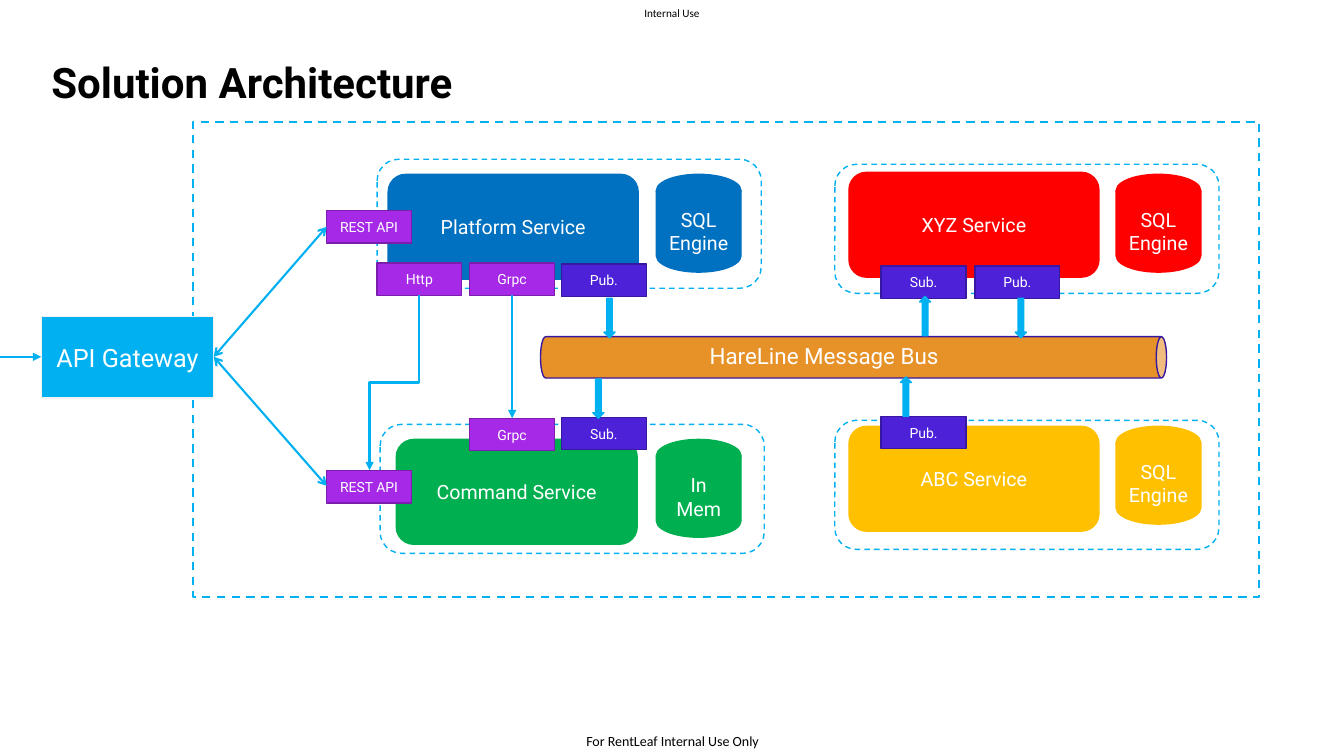
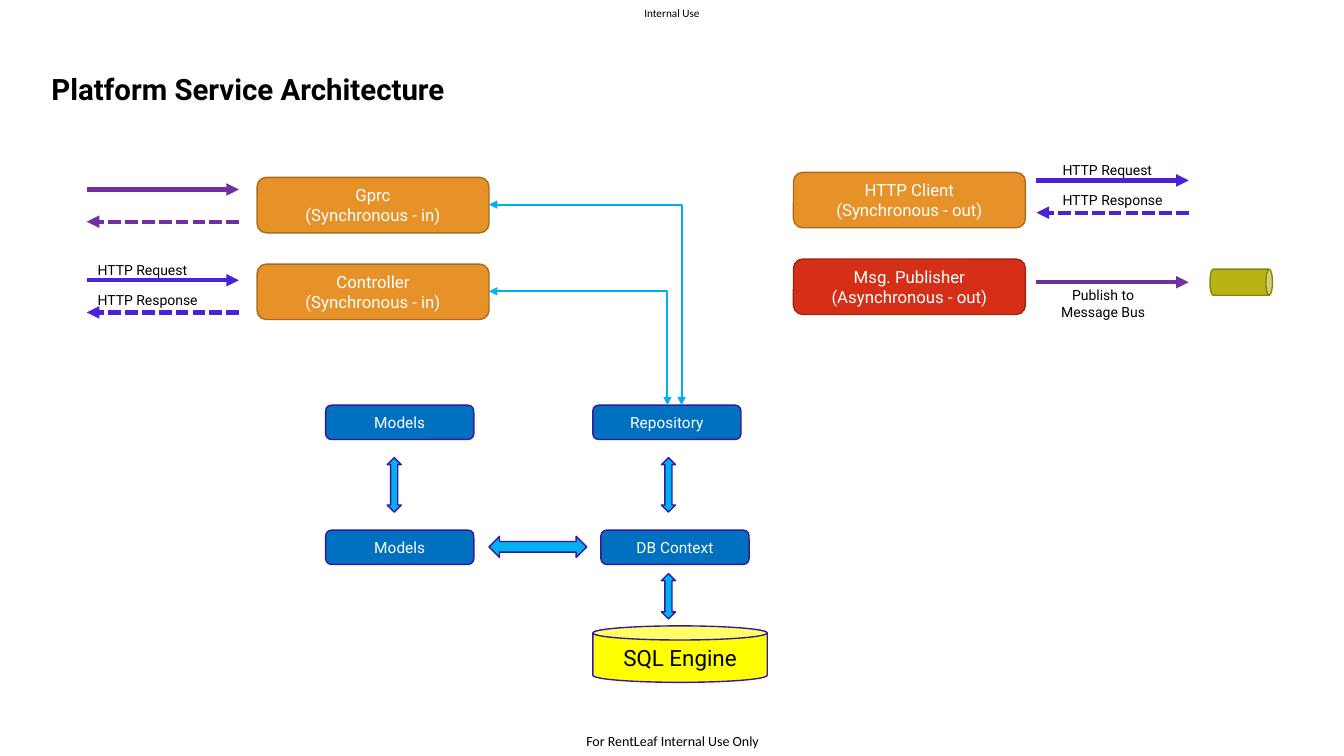
from pptx import Presentation
from pptx.dml.color import RGBColor
from pptx.enum import dml, shapes, text
from pptx.oxml.ns import qn
from pptx.util import Inches, Pt

SHAPE = shapes.MSO_SHAPE
DASH = dml.MSO_LINE.DASH
SHORT_DASH = dml.MSO_LINE.SQUARE_DOT
CENTER = text.PP_ALIGN.CENTER
MIDDLE = text.MSO_ANCHOR.MIDDLE

BLACK, WHITE = "000000", "FFFFFF"
SKY, BLUE, ORANGE = "00B0F0", "0070C0", "E79129"
VIOLET, INDIGO, PURPLE = "4C21D7", "38189F", "7030A0"
MAGENTA, PLUM, BROWN = "A529E7", "7A1EAB", "AB6B1E"
TAG_W, TAG_H = 0.84, 0.32
FLOW_W, FLOW_GAP = 1.51, 0.32


def rgb(value):
    return RGBColor.from_string(value)


def inches(values):
    return [Inches(v) for v in values]


def set_all(obj, values):
    for name, value in values.items():
        setattr(obj, name, value)


def write(tf, content, size, color=WHITE, align=CENTER, font="Roboto", bold=False):
    """Fill a text frame with one paragraph for each line of content."""
    for i, line in enumerate(content.split("\n")):
        p = tf.add_paragraph() if i else tf.paragraphs[0]
        p.alignment = align
        r = p.add_run()
        r.text = line
        set_all(r.font, {"name": font, "size": Pt(size), "bold": bold})
        r.font.color.rgb = rgb(color)


def set_line(line, color, width, dash=None):
    line.color.rgb = rgb(color)
    line.width = Pt(width)
    if dash:
        line.dash_style = dash


def block(s, kind, at, fill=None, line=None, content="", size=10,
          color=WHITE, width=1, dash=None, turn=0):
    sp = s.shapes.add_shape(kind, *inches(at))
    sp.shadow.inherit = False
    sp.rotation = turn
    if fill:
        sp.fill.solid()
        sp.fill.fore_color.rgb = rgb(fill)
    else:
        sp.fill.background()
    set_line(sp.line, line or fill, width, dash)
    if content:
        set_all(sp.text_frame, {"word_wrap": True, "vertical_anchor": MIDDLE})
        write(sp.text_frame, content, size, color)
    return sp


def label(s, at, content, size=10, color=BLACK, align=text.PP_ALIGN.LEFT):
    sp = s.shapes.add_textbox(*inches(at))
    sp.text_frame.word_wrap = True
    write(sp.text_frame, content, size, color, align)


def arrow(s, ends, color=SKY, width=1.5, dash=None, head=None, tail="triangle",
          bend=None, turn=0):
    """Draw a connector; bend names an elbow preset, turn is in degrees."""
    kind = shapes.MSO_CONNECTOR.ELBOW if bend else shapes.MSO_CONNECTOR.STRAIGHT
    c = s.shapes.add_connector(kind, *inches(ends))
    set_line(c.line, color, width, dash)
    props = c.element.spPr
    if bend:
        props.find(qn("a:prstGeom")).set("prst", bend)
    if turn:
        props.find(qn("a:xfrm")).set("rot", str(turn * 60000))
    ln = props.find(qn("a:ln"))
    for tag, end in (("a:headEnd", head), ("a:tailEnd", tail)):
        if end:
            ln.append(ln.makeelement(qn(tag), {"type": end}))
    props.append(props.makeelement(qn("a:effectLst"), {}))


def add_marks(s):
    """Put the confidentiality marks on the layout that the slides share."""
    marks = (((6.26, 0, 0.81, 0.25), "Internal Use", 8),
             ((5.63, 7.21, 2.08, 0.29), "For RentLeaf Internal Use Only", 10))
    for at, content, size in marks:
        sp = s.shapes.add_textbox(*inches(at))
        set_all(sp.text_frame, {
            "word_wrap": True, "vertical_anchor": MIDDLE, "margin_left": 0,
            "margin_right": 0, "margin_top": 0, "margin_bottom": 0})
        write(sp.text_frame, content, size, BLACK, font="Calibri")
        s.slide_layout.shapes.element.append(sp.element)


def add_slide(prs, title, size):
    s = prs.slides.add_slide(prs.slide_layouts[5])
    sp = s.shapes.title
    names = ("left", "top", "width", "height")
    set_all(sp, dict(zip(names, inches((0.41, 0.47, 4.94, 0.63)))))
    set_all(sp.text_frame, {
        "word_wrap": True, "vertical_anchor": text.MSO_ANCHOR.BOTTOM,
        "auto_size": text.MSO_AUTO_SIZE.NONE})
    write(sp.text_frame, title, size, BLACK, text.PP_ALIGN.LEFT, bold=True)
    sp.text_frame.paragraphs[0].line_spacing = 0.7
    return s


def tags(s, fill, line, items):
    for x, y, name in items:
        block(s, SHAPE.RECTANGLE, (x, y, TAG_W, TAG_H), fill, line, name)


def exchange(s, x, y, color, label_x=None):
    """Draw a request arrow with the dashed response below it."""
    right, back = x + FLOW_W, y + FLOW_GAP
    arrow(s, (right, back, x, back), color, 3, SHORT_DASH)
    arrow(s, (x, y, right, y), color, 3)
    if label_x is not None:
        label(s, (label_x, y - 0.24, 1.27, 0.28), "HTTP Request")
        label(s, (label_x, y + 0.06, 1.27, 0.28), "HTTP Response")


def solution_slide(s):
    for x, y in ((3.77, 4.21), (3.74, 1.58), (8.28, 4.17), (8.28, 1.63)):
        block(s, SHAPE.ROUNDED_RECTANGLE, (x, y, 3.81, 1.28), line=SKY, dash=DASH)

    services = (
        (3.85, 1.73, 2.48, BLUE, "Platform Service", 6.51, 1.73, "SQL Engine"),
        (3.93, 4.36, 2.39, "00B050", "Command Service", 6.51, 4.36, "In Mem"),
        (8.42, 1.71, 2.48, "FF0000", "XYZ Service", 11.07, 1.73, "SQL Engine"),
        (8.42, 4.23, 2.48, "FFC000", "ABC Service", 11.07, 4.23, "SQL Engine"))
    for x, y, w, fill, name, disk_x, disk_y, store in services:
        block(s, SHAPE.ROUNDED_RECTANGLE, (x, y, w, 1.04), fill,
              content=name, size=14)
        block(s, SHAPE.FLOWCHART_MAGNETIC_DISK, (disk_x, disk_y, 0.84, 0.97),
              fill, content=store, size=14)

    block(s, SHAPE.CAN, (8.26, 0.44, 0.41, 6.21), ORANGE, INDIGO, turn=90)
    label(s, (6.94, 3.35, 2.79, 0.37), "HareLine Message Bus", 16, WHITE)
    block(s, SHAPE.RECTANGLE, (1.91, 1.21, 10.58, 4.71), line=SKY,
          width=1.5, dash=DASH)
    block(s, SHAPE.RECTANGLE, (0.41, 3.14, 1.71, 0.81), SKY, "F2F2F2",
          "API Gateway", 18)

    tags(s, MAGENTA, PLUM, (
        (3.24, 2.09, "REST API"), (3.24, 4.67, "REST API"),
        (3.74, 2.61, "Http"), (4.66, 2.61, "Grpc"), (4.66, 4.15, "Grpc")))
    tags(s, VIOLET, INDIGO, (
        (5.57, 2.62, "Pub."), (5.57, 4.14, "Sub."), (8.74, 4.13, "Pub."),
        (8.74, 2.64, "Sub."), (9.67, 2.64, "Pub.")))

    arrow(s, (0, 3.54, 0.41, 3.54))
    for api_y in (2.25, 4.82):
        arrow(s, (2.12, 3.54, 3.24, api_y), head="arrow", tail="arrow")
    arrow(s, (3.04, 3.55, 4.78, 4.04), bend="bentConnector3", turn=90)
    arrow(s, (5.08, 2.93, 5.08, 4.15))
    for x, y, turn in ((5.99, 2.96, 0), (5.88, 3.76, 0), (10.07, 2.96, 0),
                       (9.12, 2.94, 180), (8.93, 3.74, 180)):
        block(s, SHAPE.DOWN_ARROW, (x, y, 0.11, 0.39), SKY, turn=turn)


def platform_slide(s):
    block(s, SHAPE.CAN, (5.88, 6.21, 1.73, 0.56), "FFFF00", INDIGO,
          "SQL Engine", 16, BLACK)
    for x, y, name in ((5.96, 5.26, "DB Context"), (3.23, 5.26, "Models"),
                       (3.23, 4.02, "Models"), (5.88, 4.02, "Repository")):
        block(s, SHAPE.ROUNDED_RECTANGLE, (x, y, 1.47, 0.34), BLUE, INDIGO, name, 11)

    block(s, SHAPE.LEFT_RIGHT_ARROW, (4.85, 5.32, 0.97, 0.21), SKY, INDIGO)
    for x, y, h in ((3.84, 4.54, 0.54), (6.56, 4.54, 0.54), (6.56, 5.69, 0.45)):
        block(s, SHAPE.UP_DOWN_ARROW, (x, y, 0.14, h), SKY, INDIGO)

    endpoints = (
        (2.55, 2.62, ORANGE, BROWN, "Controller\n(Synchronous - in)"),
        (2.55, 1.76, ORANGE, BROWN, "Gprc\n(Synchronous - in)"),
        (7.87, 2.57, "D53017", "9E2411", "Msg. Publisher\n(Asynchronous - out)"),
        (7.87, 1.71, ORANGE, BROWN, "HTTP Client\n(Synchronous - out)"))
    for x, y, fill, line, name in endpoints:
        block(s, SHAPE.ROUNDED_RECTANGLE, (x, y, 2.3, 0.55), fill, line, name, 12)

    for y, repository_x in ((2.89, 6.62), (2.03, 6.76)):
        arrow(s, (4.85, y, repository_x, 4.02), head="triangle",
              bend="bentConnector2")

    exchange(s, 0.86, 2.78, VIOLET, 0.87)
    exchange(s, 10.28, 1.79, VIOLET, 10.44)
    exchange(s, 0.86, 1.88, PURPLE)
    arrow(s, (10.28, 2.8, 10.28 + FLOW_W, 2.8), PURPLE, 3)
    block(s, SHAPE.CAN, (12.18, 2.49, 0.26, 0.62), "B8B214", "88840F", turn=90)
    label(s, (10.4, 2.79, 1.08, 0.44), "Publish to\nMessage Bus", align=CENTER)


def main():
    prs = Presentation()
    prs.slide_width, prs.slide_height = inches((13.33, 7.5))
    solution = add_slide(prs, "Solution Architecture", 30)
    add_marks(solution)
    solution_slide(solution)
    platform_slide(add_slide(prs, "Platform Service Architecture", 21))
    prs.save("out.pptx")


if __name__ == "__main__":
    main()
